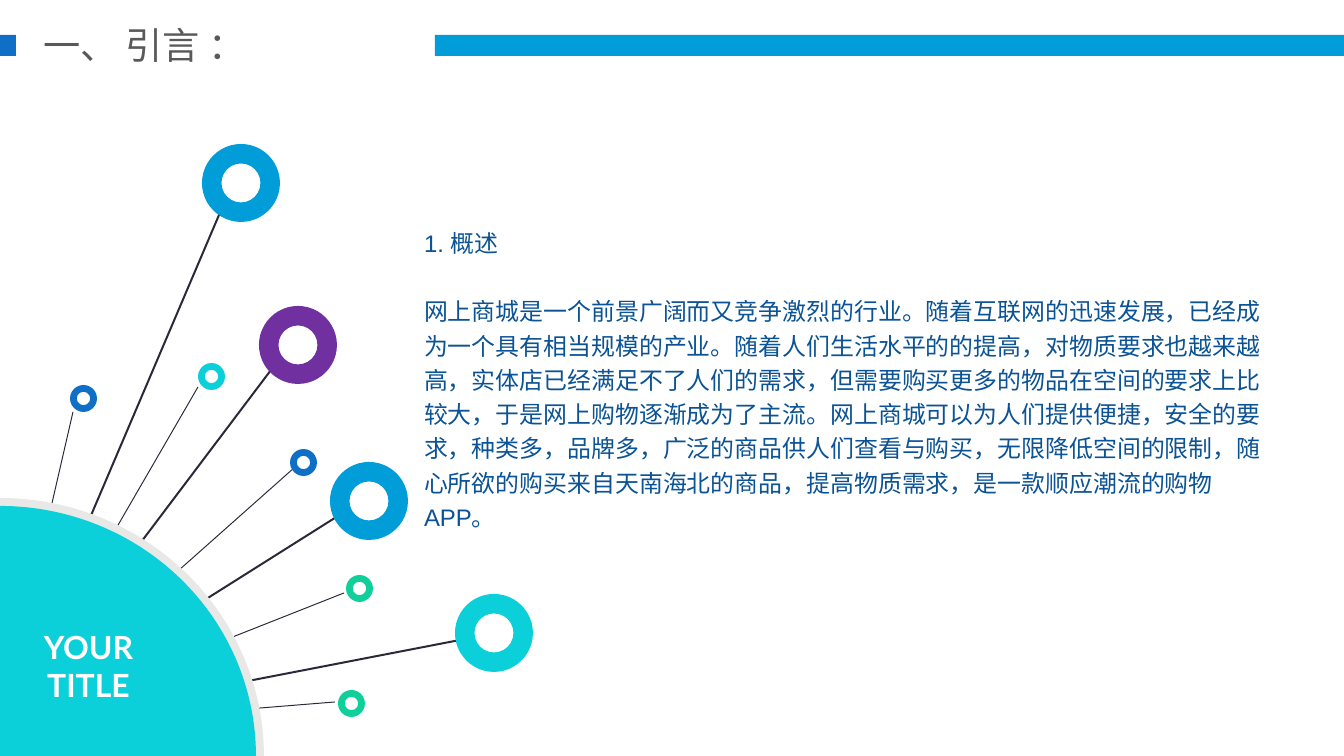
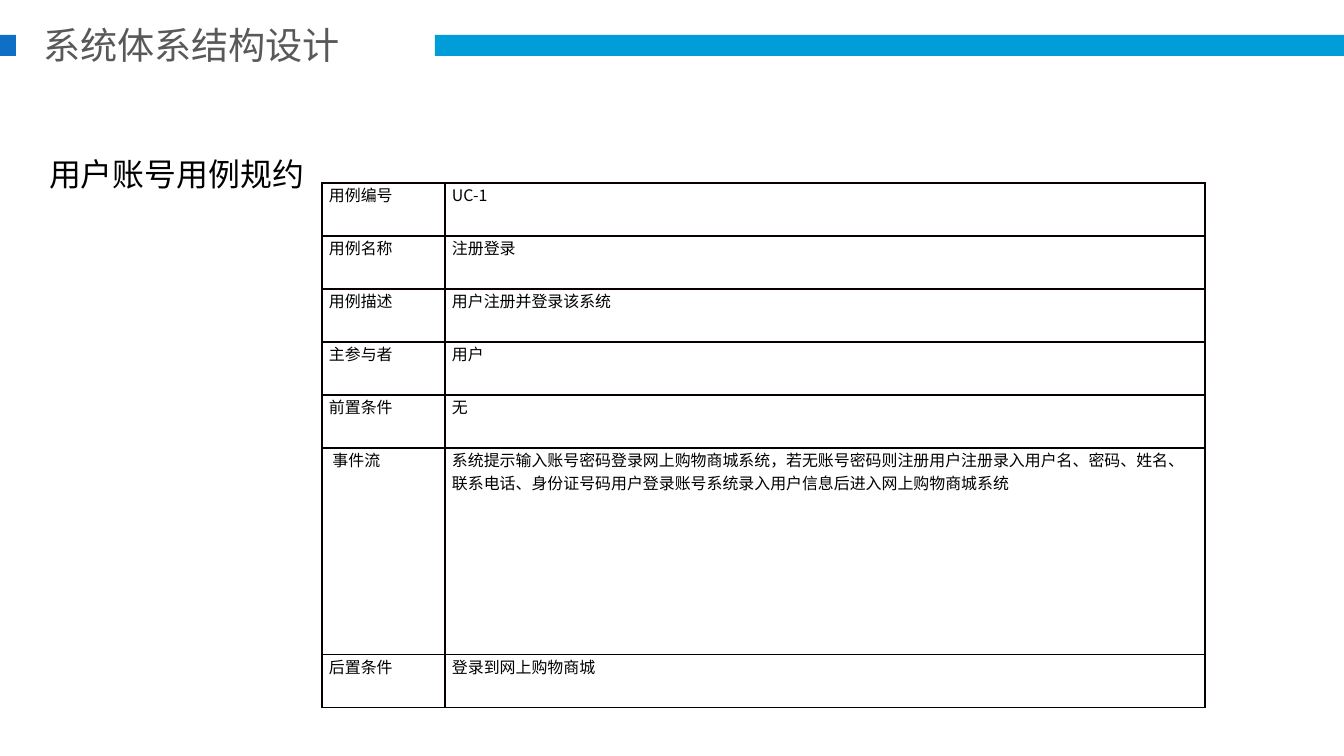
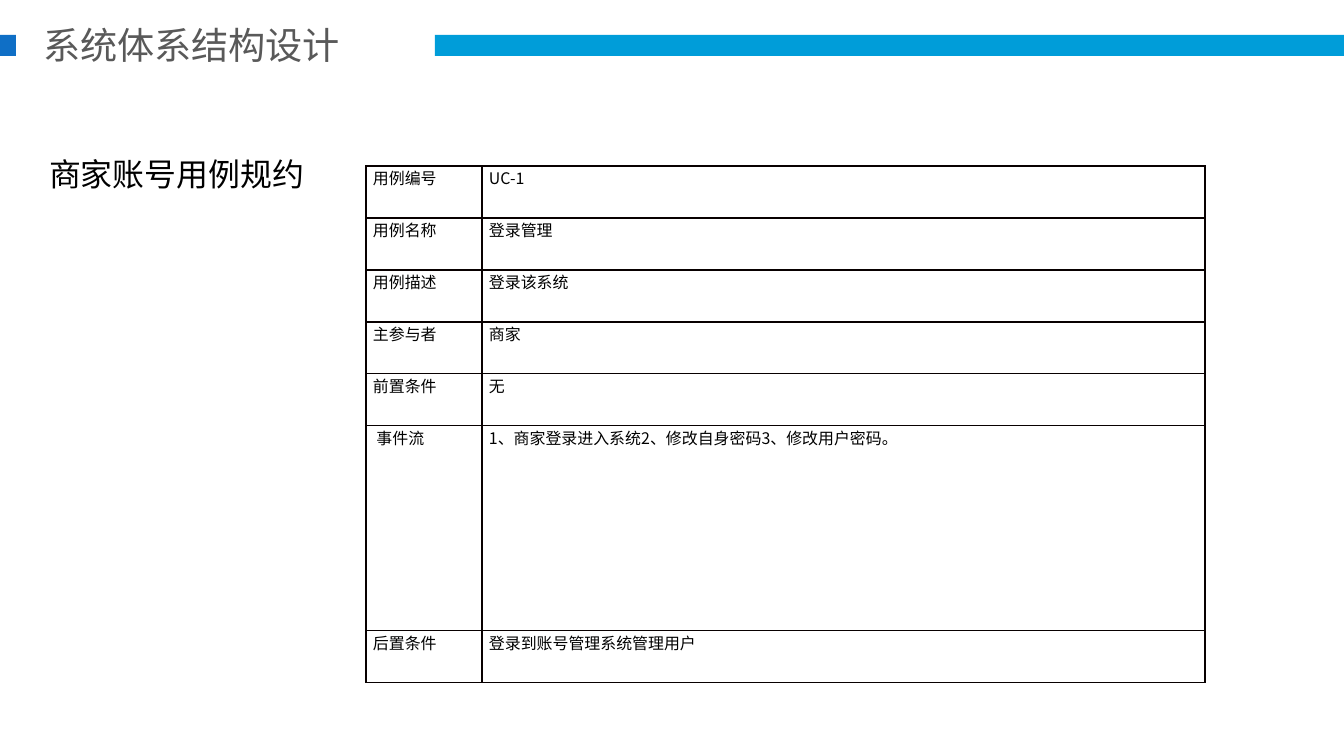
from math import cos, radians, sin

from pptx import Presentation
from pptx.dml.color import RGBColor
from pptx.enum.shapes import MSO_CONNECTOR, MSO_SHAPE
from pptx.enum.text import MSO_ANCHOR as ANCHOR, PP_ALIGN as ALIGN
from pptx.oxml.ns import qn
from pptx.util import Pt
from lxml.etree import SubElement

PX = 9565  # EMU in one px
WIDTH, HEIGHT = 1344, 756

# Shared look
BLUE, NAVY, CYAN = "009DD9", "0F6FC6", "0BD0D9"
GREEN, PURPLE = "10CF9B", "7030A0"
GREY, STEM, RIM = "595959", "2B2939", "E8E8E6"
BODY, BLACK, WHITE, BORDER = "0B5394", "000000", "FFFFFF", "080000"
CJK = "Noto Sans CJK SC"

# Ring centre, stem tip, colour
BIG_RINGS = [
    ((241, 183), (222, 208), BLUE),
    ((298, 345), (274, 366), PURPLE),
    ((369, 501), (338, 516), BLUE),
    ((494, 633), (460, 640), CYAN),
]
SMALL_RINGS = [
    ((83, 398), (73, 412), NAVY),
    ((211, 376), (198, 387), CYAN),
    ((303, 462), (294, 468), NAVY),
    ((359, 588), (344, 593), GREEN),
    ((351, 703), (335, 702), GREEN),
]
HUB = (0, 729)
BIG, SMALL = 78, 27

OVERVIEW = (
    "网上商城是一个前景广阔而又竞争激烈的行业。随着互联网的迅速发展，已经成为一个具有相当规模的产业。"
    "随着人们生活水平的的提高，对物质要求也越来越高，实体店已经满足不了人们的需求，"
    "但需要购买更多的物品在空间的要求上比较大，于是网上购物逐渐成为了主流。"
    "网上商城可以为人们提供便捷，安全的要求，种类多，品牌多，广泛的商品供人们查看与购买，"
    "无限降低空间的限制，随心所欲的购买来自天南海北的商品，提高物质需求，是一款顺应潮流的购物APP。"
)

DESIGN_TITLE = "系统体系结构设计"
LABELS = ["用例编号", "用例名称", "用例描述", "主参与者", "前置条件", " 事件流", "后置条件"]
FLOW_ROW = 5
TABLE_RIGHT = 1205
USER_CASE = [
    "UC-1", "注册登录", "用户注册并登录该系统", "用户", "无",
    "系统提示输入账号密码登录网上购物商城系统，若无账号密码则注册用户注册录入用户名、密码、姓名、"
    "联系电话、身份证号码用户登录账号系统录入用户信息后进入网上购物商城系统",
    "登录到网上购物商城",
]
MERCHANT_CASE = [
    "UC-1", "登录管理", "登录该系统", "商家", "无",
    "1、商家登录进入系统2、修改自身密码3、修改用户密码。",
    "登录到账号管理系统管理用户",
]


def px(*lengths):
    return [length * PX for length in lengths]


def color(value):
    return RGBColor.from_string(value)


def paint(shape, fill):
    shape.shadow.inherit = False
    shape.fill.solid()
    shape.fill.fore_color.rgb = color(fill)
    shape.line.fill.background()


def style_text(frame, font, size, ink, bold=False, align=ALIGN.LEFT):
    for para in frame.paragraphs:
        para.alignment = align
        for span in para.runs:
            span.font.name = font
            span.font.size = Pt(size)
            span.font.bold = bold
            span.font.color.rgb = color(ink)
            SubElement(span.font._element, qn("a:ea")).set("typeface", CJK)


def set_frame(frame, text, anchor, inset_x=10, inset_y=5):
    frame.text = text
    frame.word_wrap = True
    frame.vertical_anchor = anchor
    frame.margin_left = frame.margin_right = inset_x * PX
    frame.margin_top = frame.margin_bottom = inset_y * PX


def add_text(page, area, text, anchor=ANCHOR.MIDDLE, **style):
    frame = page.shapes.add_textbox(*px(*area)).text_frame
    set_frame(frame, text, anchor)
    style_text(frame, **style)
    return frame


def add_bands(deck, layout):
    """Draw the two header bands on a page, then move them to the layout."""
    page = deck.slides[0]
    for area, fill in [((435, 35, WIDTH - 435, 21), BLUE), ((0, 35, 16, 21), NAVY)]:
        band = page.shapes.add_shape(MSO_SHAPE.RECTANGLE, *px(*area))
        paint(band, fill)
        layout.shapes.element.append(band.element)


def add_page(deck, layout, title):
    page = deck.slides.add_slide(layout)
    box = page.shapes.title
    box.left, box.top, box.width, box.height = px(33, 17, 390, 55)
    set_frame(box.text_frame, title, ANCHOR.MIDDLE, inset_y=0)
    style_text(box.text_frame, CJK, 28, GREY)
    return page


def add_stem(page, tip, weight):
    stem = page.shapes.add_connector(MSO_CONNECTOR.STRAIGHT, *px(*tip, *HUB))
    stem.line.color.rgb = color(STEM)
    stem.line.width = Pt(weight)
    SubElement(stem._element.spPr, qn("a:effectLst"))


def add_ring(page, centre, size, fill):
    left, top = (place - size // 2 for place in centre)
    ring = page.shapes.add_shape(MSO_SHAPE.DONUT, *px(left, top, size, size))
    ring.adjustments[0] = 0.25
    paint(ring, fill)


def add_quarter(page, radius_x, radius_y, fill):
    """Quarter disc in the bottom left corner of the page."""
    arc = [px(radius_x * sin(radians(step)), HEIGHT - radius_y * cos(radians(step)))
           for step in range(91)]
    outline = page.shapes.build_freeform(*px(0, HEIGHT))
    outline.add_line_segments(arc, close=True)
    paint(outline.convert_to_shape(), fill)


def add_wheel(page):
    groups = [(SMALL_RINGS, SMALL, 0.75), (BIG_RINGS, BIG, 1.5)]
    for rings, _, weight in groups:
        for _, tip, _ in rings:
            add_stem(page, tip, weight)
    add_quarter(page, 264, 258, RIM)
    add_quarter(page, 256, 250, CYAN)
    for rings, size, _ in groups:
        for centre, _, fill in rings:
            add_ring(page, centre, size, fill)
    add_text(page, (11, 622, 155, 87), "YOUR TITLE",
             font="Lato", size=24, ink=WHITE, bold=True, align=ALIGN.CENTER)


def add_borders(cell):
    properties = cell._tc.get_or_add_tcPr()
    for side in ("a:lnL", "a:lnR", "a:lnT", "a:lnB"):
        line = SubElement(properties, qn(side), w=str(Pt(1)))
        SubElement(SubElement(line, qn("a:solidFill")), qn("a:srgbClr"), val=BORDER)


def add_case_table(page, values, left, top, label_width, row_height, flow_height):
    width = TABLE_RIGHT - left
    heights = [row_height] * len(LABELS)
    heights[FLOW_ROW] = flow_height
    table = page.shapes.add_table(
        len(LABELS), 2, *px(left, top, width, sum(heights))).table
    table.first_row = table.horz_banding = False
    for column, length in zip(table.columns, (label_width, width - label_width)):
        column.width = length * PX
    for row, height, texts in zip(table.rows, heights, zip(LABELS, values)):
        row.height = height * PX
        for cell, text in zip(row.cells, texts):
            add_borders(cell)
            cell.fill.background()
            cell.text = text
            cell.margin_left = cell.margin_right = 7 * PX
            cell.margin_top = cell.margin_bottom = 0
            style_text(cell.text_frame, CJK, 12, BLACK)


def add_case_page(deck, layout, heading, values, **grid):
    page = add_page(deck, layout, DESIGN_TITLE)
    add_text(page, (39, 150, 310, 48), heading, font="Calibri", size=24, ink=BLACK)
    add_case_table(page, values, **grid)


def main():
    deck = Presentation()
    deck.slide_width, deck.slide_height = px(WIDTH, HEIGHT)
    layout = deck.slide_layouts[5]

    # Introduction
    page = add_page(deck, layout, "一、 引言 ：")
    add_bands(deck, layout)
    add_wheel(page)
    frame = add_text(page, (414, 218, 880, 288), "1. 概述\n" + OVERVIEW,
                     anchor=ANCHOR.TOP, font="Arial", size=18, ink=BODY)
    for para in frame.paragraphs:
        para.line_spacing = Pt(25.8)
    frame.paragraphs[0].space_after = Pt(25.8)

    # Use cases
    add_case_page(deck, layout, "用户账号用例规约", USER_CASE, left=322, top=183,
                  label_width=123, row_height=53, flow_height=207)
    add_case_page(deck, layout, "商家账号用例规约", MERCHANT_CASE, left=366, top=166,
                  label_width=116, row_height=52, flow_height=205)

    deck.save("out.pptx")


if __name__ == "__main__":
    main()
